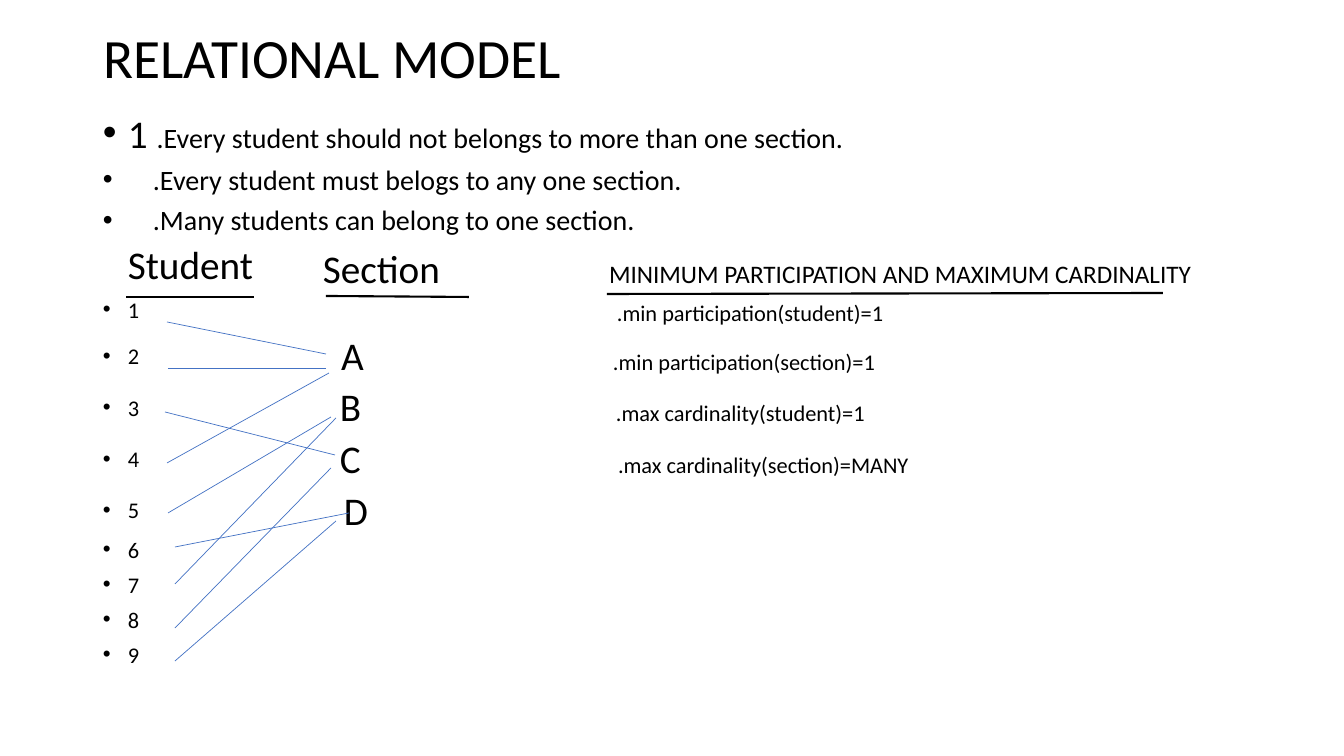
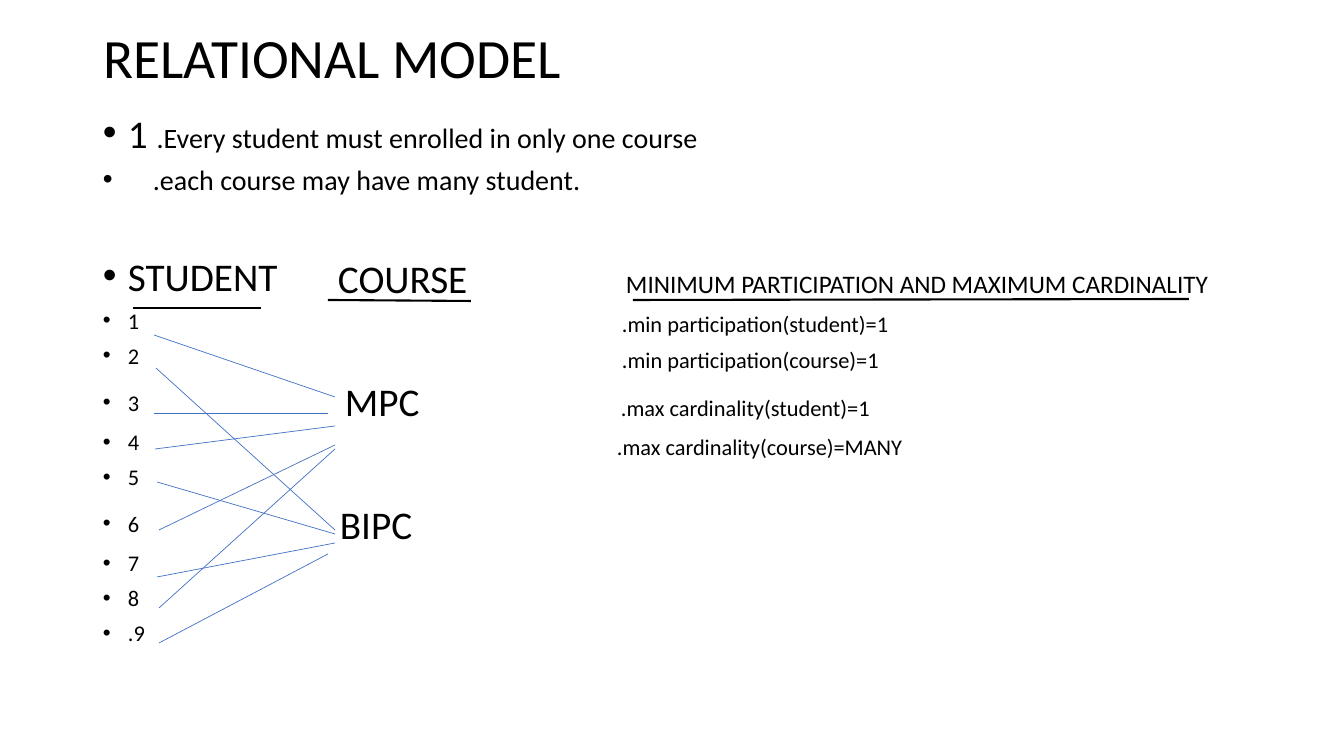
from dataclasses import dataclass

from lxml import etree
from pptx import Presentation
from pptx.dml.color import RGBColor
from pptx.enum.shapes import MSO_CONNECTOR
from pptx.enum.text import MSO_ANCHOR, MSO_AUTO_SIZE, PP_ALIGN
from pptx.oxml.ns import qn
from pptx.util import Emu, Pt

STRAIGHT = MSO_CONNECTOR.STRAIGHT
MIDDLE = MSO_ANCHOR.MIDDLE
LEFT = PP_ALIGN.LEFT
NO_FIT = MSO_AUTO_SIZE.NONE
TITLE_ONLY = 5
EMU_PER_PX = 914400 / 100.8
PX_PER_PT = 1.4
ASCENT = 0.95


@dataclass(frozen=True)
class Theme:
    """Colours, font and type sizes of the deck."""
    font: str = "Calibri"
    ink: RGBColor = RGBColor(0x00, 0x00, 0x00)
    link: RGBColor = RGBColor(0x44, 0x72, 0xC4)
    title: float = 39.6
    large: float = 28
    rule: float = 20
    caption: float = 18
    small: float = 16
    gap: float = 9.6
    tall_gap: float = 8.5
    after_tall_gap: float = 3.2
    underline: float = 1.5
    hairline: float = 0.5


THEME = Theme()


@dataclass(frozen=True)
class Line:
    """A straight line between two points."""
    x1: int
    y1: int
    x2: int
    y2: int


@dataclass(frozen=True)
class Label:
    """One line of text placed by its left edge and baseline."""
    left: int
    baseline: int
    text: str
    size: float = THEME.small


@dataclass(frozen=True)
class Row:
    """A paragraph of the body; the lead is set larger than the text."""
    text: str
    size: float = THEME.small
    before: float = THEME.gap
    lead: str = ""
    margin: int = 25
    bullet: bool = True


@dataclass(frozen=True)
class Model:
    """The content of one slide."""
    rows: list[Row]
    labels: list[Label]
    underlines: list[Line]
    links: list[Line]


def px(value: float) -> Emu:
    """Turn pixels into EMU."""
    return Emu(round(value * EMU_PER_PX))


def style(r, size: float) -> None:
    """Format a run."""
    r.font.name = THEME.font
    r.font.size = Pt(size)
    r.font.color.rgb = THEME.ink


def set_indent(p, row: Row) -> None:
    """Set the left margin and the hanging bullet of a paragraph."""
    ppr = p._p.get_or_add_pPr()
    ppr.set("marL", str(px(row.margin)))
    ppr.set("indent", str(px(-row.margin) if row.bullet else 0))
    if row.bullet:
        etree.SubElement(ppr, qn("a:buFont")).set("typeface", "Arial")
        etree.SubElement(ppr, qn("a:buChar")).set("char", "\u2022")
    else:
        etree.SubElement(ppr, qn("a:buNone"))


def add_title(s, text: str) -> None:
    """Place and format the title placeholder."""
    sp = s.shapes.title
    sp.left, sp.top, sp.width, sp.height = px(93), px(36), px(1159), px(50)
    tf = sp.text_frame
    tf.text = text
    tf.auto_size = NO_FIT
    tf.vertical_anchor = MIDDLE
    p = tf.paragraphs[0]
    p.alignment = LEFT
    p.line_spacing = 0.9
    style(p.runs[0], THEME.title)


def add_body(s, rows: list[Row]) -> None:
    """Draw the rules and the list of students."""
    tf = s.shapes.add_textbox(px(93), px(113), px(1159), px(567)).text_frame
    tf.word_wrap = True
    for i, row in enumerate(rows):
        p = tf.add_paragraph() if i else tf.paragraphs[0]
        p.line_spacing = 0.8
        p.space_before = Pt(row.before)
        set_indent(p, row)
        if row.lead:
            r = p.add_run()
            r.text = row.lead
            style(r, THEME.large)
        r = p.add_run()
        r.text = row.text
        style(r, row.size)


def add_label(s, label: Label) -> None:
    """Draw a label on its baseline."""
    em = label.size * PX_PER_PT
    top = label.baseline - ASCENT * em
    width = len(label.text) * em * 0.7
    tf = s.shapes.add_textbox(px(label.left), px(top), px(width),
                              px(em * 1.22)).text_frame
    tf.margin_left = tf.margin_right = tf.margin_top = tf.margin_bottom = 0
    tf.word_wrap = True
    tf.text = label.text
    style(tf.paragraphs[0].runs[0], label.size)


def add_line(s, line: Line, color: RGBColor, width: float) -> None:
    """Draw a line without shadow."""
    cx = s.shapes.add_connector(STRAIGHT, px(line.x1), px(line.y1),
                                px(line.x2), px(line.y2))
    cx.line.color.rgb = color
    cx.line.width = Pt(width)
    etree.SubElement(cx._element.spPr, qn("a:effectLst"))


def student_rows(names: list[str], tall: set[int]) -> list[Row]:
    """List the students, with more room at rows that hold a large label."""
    return [Row(name, before=THEME.gap + THEME.tall_gap * (i in tall)
                + THEME.after_tall_gap * (i - 1 in tall))
            for i, name in enumerate(names, 1)]


def add_model(prs, model: Model) -> None:
    """Add one slide."""
    s = prs.slides.add_slide(prs.slide_layouts[TITLE_ONLY])
    add_title(s, "RELATIONAL MODEL")
    add_body(s, model.rows)
    for label in model.labels:
        add_label(s, label)
    for line in model.underlines:
        add_line(s, line, THEME.ink, THEME.underline)
    for line in model.links:
        add_line(s, line, THEME.link, THEME.hairline)


CAPTION = "MINIMUM PARTICIPATION AND MAXIMUM CARDINALITY"
DIGITS = list("123456789")

SECTIONS = Model(
    rows=[
        Row(".Every student should not belongs to more than one section.",
            THEME.rule, lead="1 "),
        Row(".Every student must belogs to any one section.",
            THEME.rule, margin=50),
        Row(".Many students can belong to one section.",
            THEME.rule, margin=50),
        Row("Student", THEME.large, bullet=False),
        *student_rows(DIGITS, {2, 3, 4, 5}),
    ],
    labels=[
        Label(323, 282, "Section", THEME.large),
        Label(609, 282, CAPTION, THEME.caption),
        Label(341, 369, "A", THEME.large),
        Label(340, 420, "B", THEME.large),
        Label(340, 472, "C", THEME.large),
        Label(344, 524, "D", THEME.large),
        Label(617, 320, ".min participation(student)=1"),
        Label(613, 369, ".min participation(section)=1"),
        Label(616, 420, ".max cardinality(student)=1"),
        Label(618, 472, ".max cardinality(section)=MANY"),
    ],
    underlines=[Line(254, 297, 126, 297), Line(326, 296, 469, 297),
                Line(607, 294, 1163, 293)],
    links=[
        Line(326, 354, 167, 322), Line(168, 368, 326, 368),
        Line(335, 455, 165, 412), Line(167, 463, 329, 373),
        Line(168, 513, 331, 417), Line(175, 547, 349, 513),
        Line(175, 584, 336, 418), Line(175, 628, 331, 468),
        Line(175, 661, 336, 521),
    ],
)

COURSES = Model(
    rows=[
        Row(".Every student must enrolled in only one course",
            THEME.rule, lead="1 "),
        Row(".each course may have many student.", THEME.rule, margin=50),
        Row("STUDENT", THEME.large, before=46.5),
        *student_rows(DIGITS[:-1] + [".9"], {3, 6}),
    ],
    labels=[
        Label(338, 292, "COURSE", THEME.large),
        Label(626, 292, CAPTION, THEME.caption),
        Label(345, 415, "MPC", THEME.large),
        Label(340, 538, "BIPC", THEME.large),
        Label(622, 331, ".min participation(student)=1"),
        Label(622, 367, ".min participation(course)=1"),
        Label(621, 415, ".max cardinality(student)=1"),
        Label(617, 454, ".max cardinality(course)=MANY"),
    ],
    underlines=[Line(261, 308, 133, 308), Line(328, 300, 471, 301),
                Line(633, 300, 1189, 299)],
    links=[
        Line(154, 335, 335, 397), Line(156, 368, 335, 530),
        Line(154, 413, 328, 413), Line(155, 449, 335, 426),
        Line(335, 534, 157, 482), Line(159, 530, 335, 445),
        Line(157, 577, 335, 543), Line(159, 608, 335, 449),
        Line(159, 643, 328, 554),
    ],
)


def main() -> None:
    """Build and save the deck."""
    prs = Presentation()
    prs.slide_width, prs.slide_height = px(1344), px(756)
    for model in (SECTIONS, COURSES):
        add_model(prs, model)
    prs.save("out.pptx")


main()
